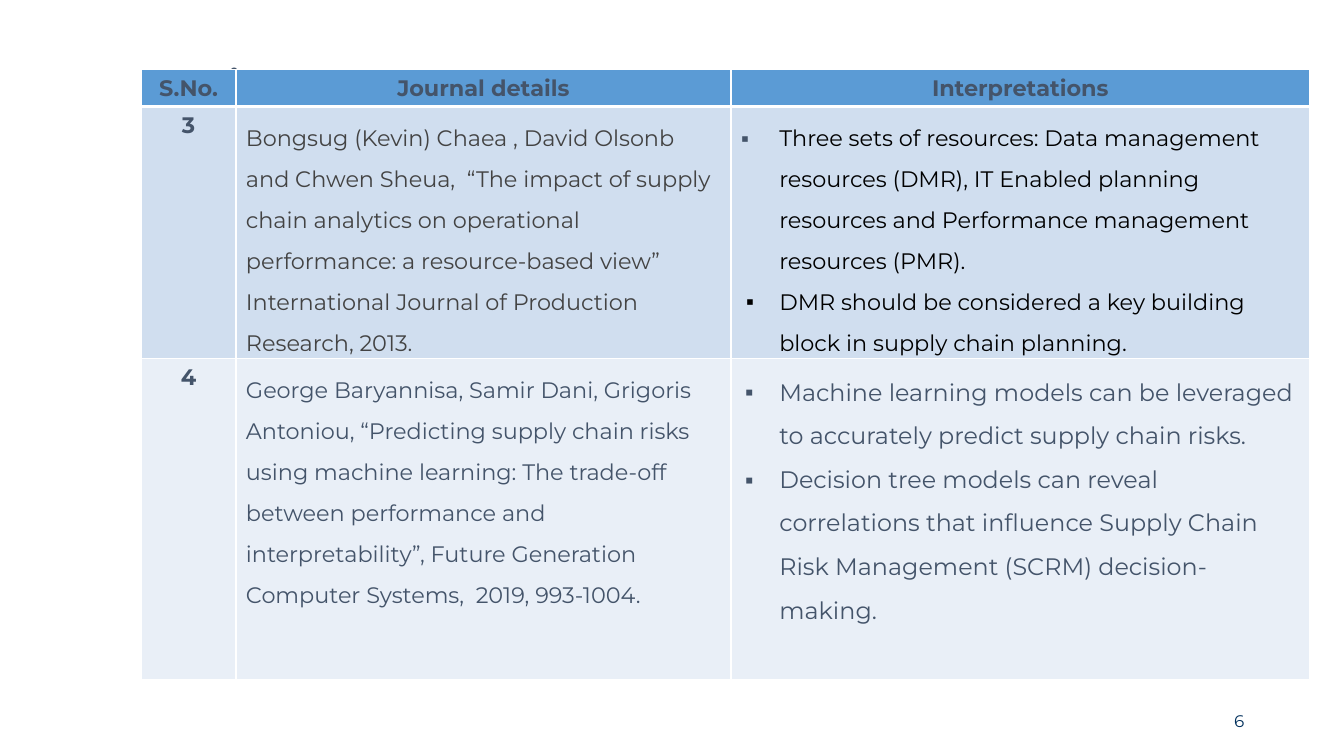
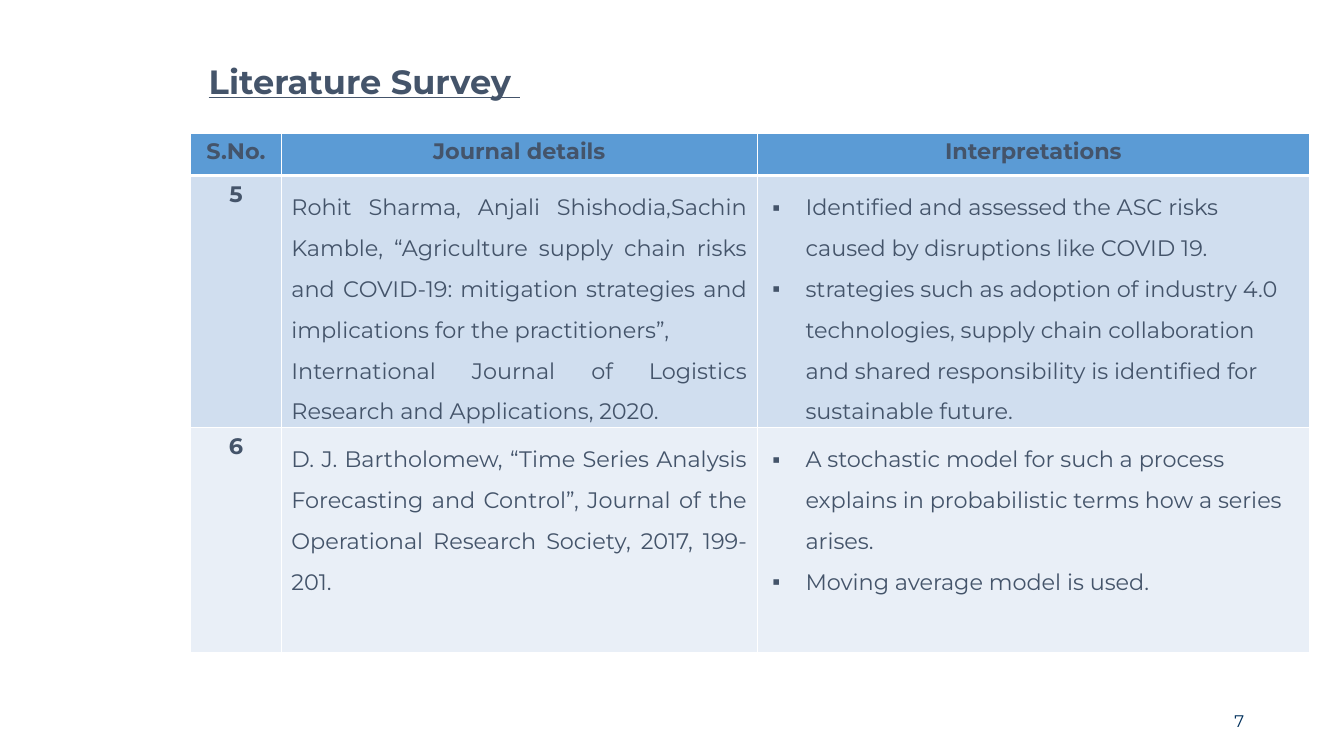
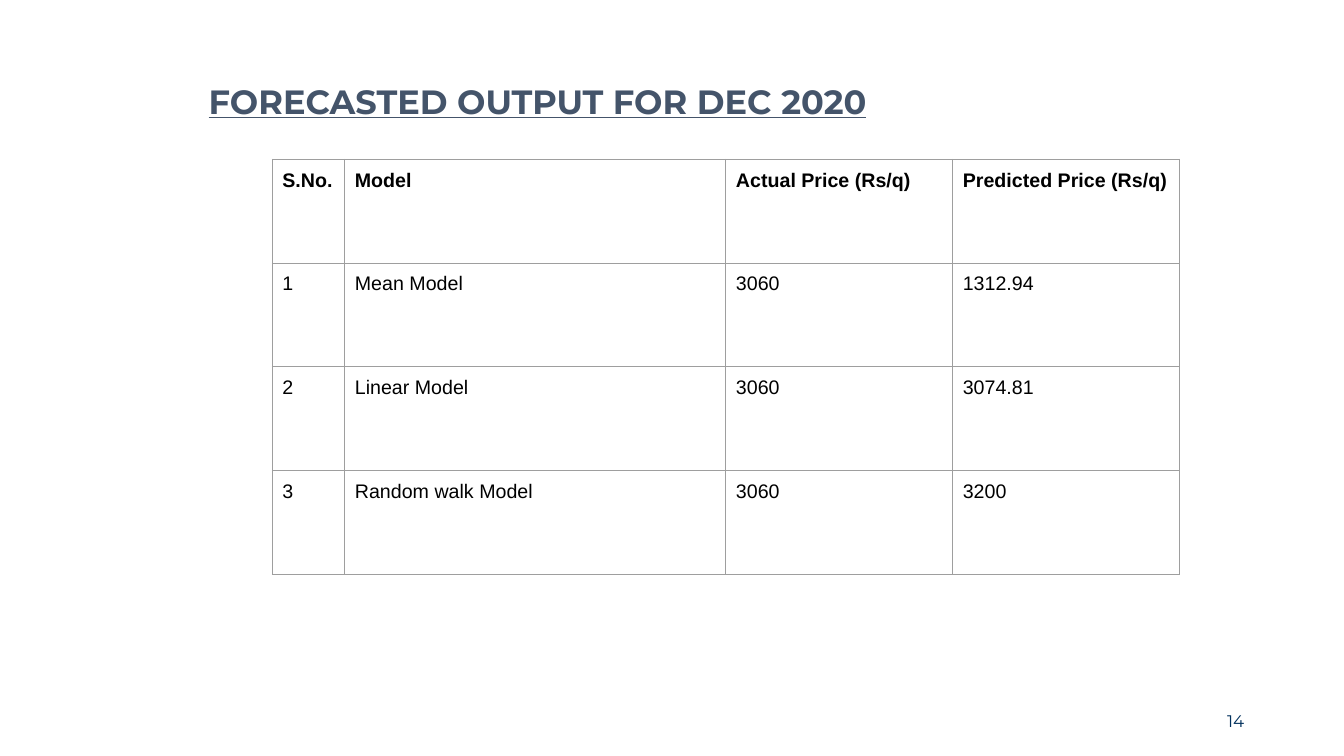
from dataclasses import dataclass
from typing import Optional

from lxml import etree
from pptx import Presentation
from pptx.dml.color import RGBColor
from pptx.enum import text as t
from pptx.oxml import ns
from pptx.util import Inches, Pt

SLATE = RGBColor(0x44, 0x54, 0x6A)
NAVY = RGBColor(0x00, 0x30, 0x5C)
CHARCOAL = RGBColor(0x43, 0x43, 0x43)
BLACK = RGBColor(0x00, 0x00, 0x00)
WHITE = RGBColor(0xFF, 0xFF, 0xFF)
GRAY = RGBColor(0x9E, 0x9E, 0x9E)
HEADER_BLUE = RGBColor(0x5B, 0x9B, 0xD5)
BAND_BLUES = (RGBColor(0xD0, 0xDE, 0xEF), RGBColor(0xE9, 0xEF, 0xF7))

HEADING_FONT = "Montserrat"
PLAIN_FONT = "Arial"
LEFT, CENTER, RIGHT, JUSTIFY = (
    t.PP_ALIGN.LEFT, t.PP_ALIGN.CENTER, t.PP_ALIGN.RIGHT, t.PP_ALIGN.JUSTIFY)
TOP, MIDDLE, BOTTOM = t.MSO_ANCHOR.TOP, t.MSO_ANCHOR.MIDDLE, t.MSO_ANCHOR.BOTTOM
BULLET_MARGIN = 0.38


@dataclass(frozen=True)
class Line:
    """One paragraph; a hanging indent in inches makes it a bullet."""
    text: str
    size: float = 16
    color: RGBColor = SLATE
    bold: bool = False
    underline: bool = False
    font: str = HEADING_FONT
    align: t.PP_ALIGN = LEFT
    spacing: float = 1.0
    hanging: Optional[float] = None
    bullet_color: RGBColor = SLATE


@dataclass(frozen=True)
class Cell:
    lines: list[Line]
    fill: Optional[RGBColor] = None
    anchor: t.MSO_ANCHOR = TOP
    margin: float = 0.05
    border: RGBColor = WHITE
    border_width: float = 1
    bottom_width: float = 1
    top_width: float = 1


@dataclass(frozen=True)
class Grid:
    left: float
    top: float
    columns: list[float]
    rows: list[float]
    cells: list[list[Cell]]


@dataclass(frozen=True)
class Page:
    number: int
    title: Line
    title_top: float
    title_height: float
    grid: Grid


@dataclass(frozen=True)
class Entry:
    """One surveyed paper."""
    number: int
    journal: list[Line]
    findings: list[Line]
    findings_anchor: t.MSO_ANCHOR = TOP


def add_bullet(paragraph, line: Line) -> None:
    properties = paragraph._p.get_or_add_pPr()
    properties.set("marL", str(Inches(BULLET_MARGIN)))
    properties.set("indent", str(-Inches(line.hanging)))
    color = etree.SubElement(properties, ns.qn("a:buClr"))
    etree.SubElement(color, ns.qn("a:srgbClr"), val=str(line.bullet_color))
    etree.SubElement(properties, ns.qn("a:buFont"), typeface=PLAIN_FONT)
    etree.SubElement(properties, ns.qn("a:buChar"), char="▪")


def write_lines(frame, lines: list[Line]) -> None:
    for index, line in enumerate(lines):
        paragraph = frame.add_paragraph() if index else frame.paragraphs[0]
        paragraph.alignment = line.align
        paragraph.line_spacing = line.spacing
        if line.hanging is not None:
            add_bullet(paragraph, line)
        run = paragraph.add_run()
        run.text = line.text
        run.font.name = line.font
        run.font.size = Pt(line.size)
        run.font.bold = line.bold
        run.font.underline = line.underline
        run.font.color.rgb = line.color


def draw_borders(cell, style: Cell) -> None:
    properties = cell._tc.get_or_add_tcPr()
    widths = {"lnL": style.border_width, "lnR": style.border_width,
              "lnT": style.top_width, "lnB": style.bottom_width}
    for side, width in widths.items():
        border = etree.SubElement(properties, ns.qn(f"a:{side}"), w=str(Pt(width)))
        fill = etree.SubElement(border, ns.qn("a:solidFill"))
        etree.SubElement(fill, ns.qn("a:srgbClr"), val=str(style.border))


def draw_cell(cell, style: Cell) -> None:
    draw_borders(cell, style)
    if style.fill is None:
        cell.fill.background()
    else:
        cell.fill.solid()
        cell.fill.fore_color.rgb = style.fill
    cell.vertical_anchor = style.anchor
    cell.margin_left = cell.margin_right = Inches(0.1)
    cell.margin_top = cell.margin_bottom = Inches(style.margin)
    write_lines(cell.text_frame, style.lines)


def draw_grid(slide, grid: Grid) -> None:
    table = slide.shapes.add_table(
        len(grid.rows), len(grid.columns), Inches(grid.left), Inches(grid.top),
        Inches(sum(grid.columns)), Inches(sum(grid.rows))).table
    table.first_row = table.horz_banding = False
    for column, width in zip(table.columns, grid.columns):
        column.width = Inches(width)
    for row, height, styles in zip(table.rows, grid.rows, grid.cells):
        row.height = Inches(height)
        for cell, style in zip(row.cells, styles):
            draw_cell(cell, style)


def draw_page(presentation, page: Page) -> None:
    slide = presentation.slides.add_slide(presentation.slide_layouts[5])
    title = slide.shapes.title
    title.left, title.top = Inches(1.97), Inches(page.title_top)
    title.width, title.height = Inches(10.47), Inches(page.title_height)
    title.text_frame.auto_size = t.MSO_AUTO_SIZE.NONE
    title.text_frame.vertical_anchor = TOP
    write_lines(title.text_frame, [page.title])

    number = slide.shapes.add_textbox(Inches(9.44), Inches(6.95), Inches(3), Inches(0.4))
    number.text_frame.word_wrap = True
    number.text_frame.vertical_anchor = MIDDLE
    write_lines(number.text_frame,
                [Line(str(page.number), size=12, color=NAVY, align=RIGHT)])

    draw_grid(slide, page.grid)


def heading(text: str, spacing: float) -> Line:
    return Line(text, size=24, bold=True, underline=True, spacing=spacing)


def journal(text: str, align: t.PP_ALIGN = LEFT, color: RGBColor = SLATE) -> Line:
    return Line(text, align=align, color=color, spacing=1.5)


def finding(text: str, hanging: float = 0.33, size: float = 16,
            color: RGBColor = SLATE, bullet_color: RGBColor = SLATE) -> Line:
    return Line(text, size=size, color=color, spacing=1.5,
                hanging=hanging, bullet_color=bullet_color)


def survey_page(number: int, left: float, top: float, columns: list[float],
                rows: list[float], entries: list[Entry]) -> Page:
    def label(text: str) -> Line:
        return Line(text, bold=True, align=CENTER)

    cells = [[Cell([label(text)], HEADER_BLUE, bottom_width=3)
              for text in ("S.No.", "Journal details", "Interpretations")]]
    for index, (entry, band) in enumerate(zip(entries, BAND_BLUES)):
        top_width = 1 if index else 3
        cells.append([
            Cell([label(str(entry.number))], band, top_width=top_width),
            Cell(entry.journal, band, top_width=top_width),
            Cell(entry.findings, band, entry.findings_anchor, top_width=top_width)])
    return Page(number, heading("Literature Survey ", 2.0), 0.15, 0.79,
                Grid(left, top, columns, rows, cells))


def forecast_page() -> Page:
    records = [
        ("S.No.", "Model", "Actual Price (Rs/q)", "Predicted Price (Rs/q)"),
        ("1", "Mean Model", "3060", "1312.94"),
        ("2", "Linear Model", "3060", "3074.81"),
        ("3", "Random walk Model", "3060", "3200"),
    ]
    cells = [[Cell([Line(text, size=14, color=BLACK, bold=index == 0, font=PLAIN_FONT)],
                   margin=0.1, border=GRAY, border_width=0.75,
                   bottom_width=0.75, top_width=0.75)
              for text in record] for index, record in enumerate(records)]
    return Page(14, heading("FORECASTED OUTPUT FOR DEC 2020", 1.15), 0.69, 4.83,
                Grid(2.7, 1.58, [0.72, 3.78, 2.25, 2.25], [1.03] * len(records), cells))


PAGES = [
    survey_page(6, 1.4, 0.69, [0.94, 4.91, 5.74], [0.36, 2.5, 3.19], [
        Entry(3, [journal(
            "Bongsug (Kevin) Chaea , David Olsonb and Chwen Sheua,  “The impact of "
            "supply chain analytics on operational performance: a resource-based view” "
            "International Journal of Production Research, 2013.", color=CHARCOAL)],
            [finding("Three sets of resources: Data management resources (DMR), IT "
                     "Enabled planning resources and Performance management resources "
                     "(PMR).", hanging=0.41, color=BLACK),
             finding("DMR should be considered a key building block in supply chain "
                     "planning.", color=BLACK, bullet_color=BLACK)],
            BOTTOM),
        Entry(4, [journal(
            "George Baryannisa, Samir Dani, Grigoris Antoniou, “Predicting supply chain "
            "risks using machine learning: The trade-off between performance and "
            "interpretability”, Future Generation Computer Systems,  2019, 993-1004.")],
            [finding(text, hanging=0.34, size=17) for text in (
                "Machine learning models can be leveraged to accurately predict supply "
                "chain risks.",
                "Decision tree models can reveal correlations that influence Supply "
                "Chain Risk Management (SCRM) decision-making.")]),
    ]),
    survey_page(7, 1.89, 1.32, [0.9, 4.72, 5.48], [0.42, 2.5, 2.23], [
        Entry(5, [journal(text, JUSTIFY) for text in (
            "Rohit Sharma, Anjali Shishodia,Sachin Kamble, “Agriculture supply chain "
            "risks and COVID-19: mitigation strategies and implications for the "
            "practitioners”,",
            "International Journal of Logistics Research and Applications, 2020.")],
            [finding("Identified and assessed the ASC risks caused by disruptions like "
                     "COVID 19."),
             finding("strategies such as adoption of industry 4.0 technologies, supply "
                     "chain collaboration and shared responsibility is identified for "
                     "sustainable future.")]),
        Entry(6, [journal(
            "D. J. Bartholomew, “Time Series Analysis Forecasting and Control”, Journal "
            "of the Operational Research Society, 2017, 199-201.", JUSTIFY)],
            [finding("A stochastic model for such a process explains in probabilistic "
                     "terms how a series arises."),
             finding("Moving average model is used.")]),
    ]),
    forecast_page(),
]


def main() -> None:
    presentation = Presentation()
    presentation.slide_width, presentation.slide_height = Inches(13.33), Inches(7.5)
    for page in PAGES:
        draw_page(presentation, page)
    presentation.save("out.pptx")


if __name__ == "__main__":
    main()
